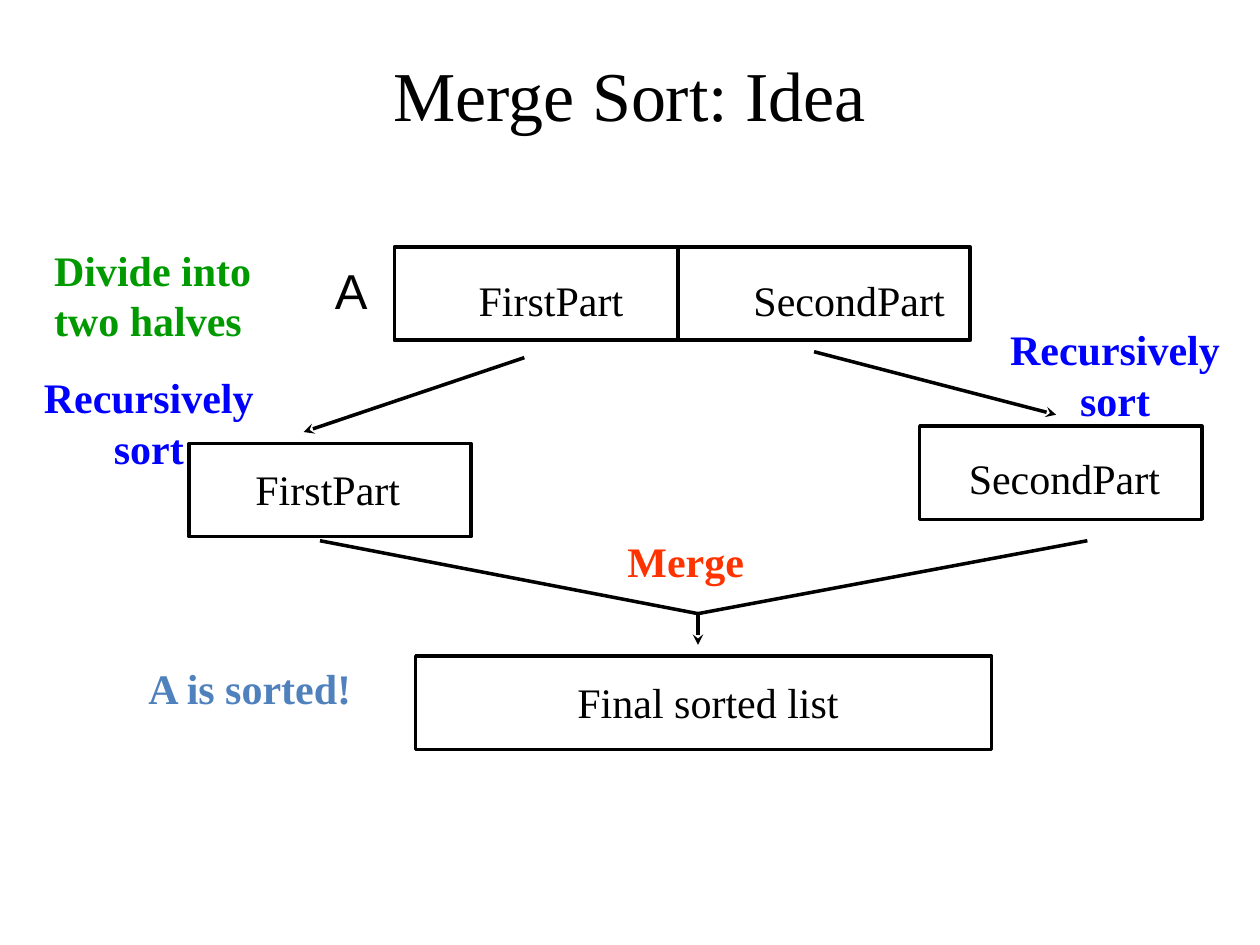
import pptx
import pptx.dml.color
import pptx.enum.shapes
import pptx.enum.text
import pptx.oxml
import pptx.oxml.ns
import pptx.util

Cm = pptx.util.Cm
Pt = pptx.util.Pt
ALIGN = pptx.enum.text.PP_ALIGN
BLACK = pptx.dml.color.RGBColor(0x00, 0x00, 0x00)
GREEN = pptx.dml.color.RGBColor(0x00, 0x99, 0x00)
BLUE = pptx.dml.color.RGBColor(0x00, 0x00, 0xFF)
RED = pptx.dml.color.RGBColor(0xFF, 0x33, 0x00)
STEEL = pptx.dml.color.RGBColor(0x4F, 0x81, 0xBD)
SERIF = "Times New Roman"
BOX_HEIGHT = 1.88
HALF_WIDTH = 5.69
LIST_WIDTH = 11.61
LINE_HEIGHT = 1.27


def format_text(frame, size, color, bold=False, font=SERIF, align=ALIGN.LEFT):
    """Give every run in the frame the same look."""
    for para in frame.paragraphs:
        para.alignment = align
        for span in para.runs:
            span.font.name = font
            span.font.size = Pt(size)
            span.font.bold = bold
            span.font.color.rgb = color


def add_label(page, box, text, color=BLACK, size=24, wrap=False, inset=0.25, **style):
    """Place a text box at left, top, width, height in centimetres."""
    label = page.shapes.add_textbox(*map(Cm, box))
    frame = label.text_frame
    frame.word_wrap = wrap
    frame.margin_left = frame.margin_right = Cm(inset)
    frame.text = text
    format_text(frame, size, color, **style)
    return label


def add_outline(page, left, top, width):
    """Draw an unfilled list box."""
    outline = page.shapes.add_shape(
        pptx.enum.shapes.MSO_SHAPE.RECTANGLE, Cm(left), Cm(top), Cm(width), Cm(BOX_HEIGHT))
    outline.shadow.inherit = False
    outline.fill.background()
    outline.line.color.rgb = BLACK
    outline.line.width = Pt(2)


def add_line(page, start, end, arrow=False):
    """Draw a straight line, with a stealth head at its end if asked."""
    line = page.shapes.add_connector(
        pptx.enum.shapes.MSO_CONNECTOR.STRAIGHT, *map(Cm, start + end))
    line.line.color.rgb = BLACK
    line.line.width = Pt(2)
    if arrow:
        head = pptx.oxml.parse_xml(
            f'<a:tailEnd {pptx.oxml.ns.nsdecls("a")} type="stealth"/>')
        line.line._get_or_add_ln().append(head)
    line._element.spPr.append(
        pptx.oxml.parse_xml(f'<a:effectLst {pptx.oxml.ns.nsdecls("a")}/>'))


def add_title(page, left, top, width, height):
    """Move and format the title placeholder."""
    title = page.shapes.title
    title.left, title.top, title.width, title.height = map(Cm, (left, top, width, height))
    title.text_frame.text = "Merge Sort: Idea"
    title.text_frame.vertical_anchor = pptx.enum.text.MSO_ANCHOR.MIDDLE
    format_text(title.text_frame, 40, BLACK, align=ALIGN.CENTER)


def add_divided_list(page, left, top):
    """Draw list A split into two parts, with its labels."""
    add_outline(page, left, top, LIST_WIDTH)
    divider = left + 5.72
    add_line(page, (divider, top), (divider, top + BOX_HEIGHT))
    add_label(page, (left + 1.45, top + 0.43, 3.45, LINE_HEIGHT), "FirstPart")
    add_label(page, (left + 6.99, top + 0.43, 4.39, LINE_HEIGHT), "SecondPart")
    add_label(page, (left - 1.45, top + 0.15, 1.17, 1.45), "A", size=28, font="Arial")
    add_label(page, (left - 7.11, top - 0.18, 4.52, 2.31),
              "Divide into\ntwo halves", GREEN, bold=True)


def add_sorted_half(page, left, top, name, name_box, note_at, arrow_from, arrow_to):
    """Draw one half with its arrow, name and note, offset from the box corner."""
    add_outline(page, left, top, HALF_WIDTH)
    add_line(page, (left + arrow_from[0], top + arrow_from[1]),
             (left + arrow_to[0], top + arrow_to[1]), arrow=True)
    add_label(page, (left + name_box[0], top + name_box[1], name_box[2], LINE_HEIGHT), name)
    add_label(page, (left + note_at[0], top + note_at[1], 5.44, 2.31), "Recursively sort",
              BLUE, wrap=True, inset=0, bold=True, align=ALIGN.CENTER)


def add_merged_list(page, left, top):
    """Draw the merging lines, the final list and its labels."""
    add_outline(page, left, top, LIST_WIDTH)
    join = (left + 5.69, top - 0.86)
    for offset in (-1.93, 13.54):
        add_line(page, (left + offset, top - 2.33), join)
    add_line(page, join, (join[0], top - 0.23), arrow=True)
    merge = add_label(page, (left + 4.02, top - 2.56, 3.81, 1.3), "Merge",
                      RED, wrap=True, bold=True)
    merge.text_frame.paragraphs[0].space_before = Pt(12)
    add_label(page, (left - 5.64, top, 4.65, LINE_HEIGHT), "A is sorted!", STEEL, bold=True)
    add_label(page, (left + 1.35, top + 0.28, 9.09, LINE_HEIGHT), "Final sorted list",
              wrap=True, align=ALIGN.CENTER)


def main():
    """Build and save the slide."""
    deck = pptx.Presentation()
    deck.slide_width, deck.slide_height = Cm(25.4), Cm(19.05)
    page = deck.slides.add_slide(deck.slide_layouts[5])
    add_title(page, 1.9, 0.61, 21.59, 2.57)
    add_divided_list(page, 7.95, 4.98)
    add_sorted_half(page, 3.81, 8.94, "FirstPart", (1.09, 0.28, 3.45),
                    (-3.53, -1.57), (6.76, -1.73), (2.31, -0.23))
    add_sorted_half(page, 18.54, 8.59, "SecondPart", (0.74, 0.4, 4.39),
                    (1.22, -2.19), (-2.13, -1.5), (2.75, -0.23))
    add_merged_list(page, 8.38, 13.23)
    deck.save("out.pptx")


if __name__ == "__main__":
    main()
